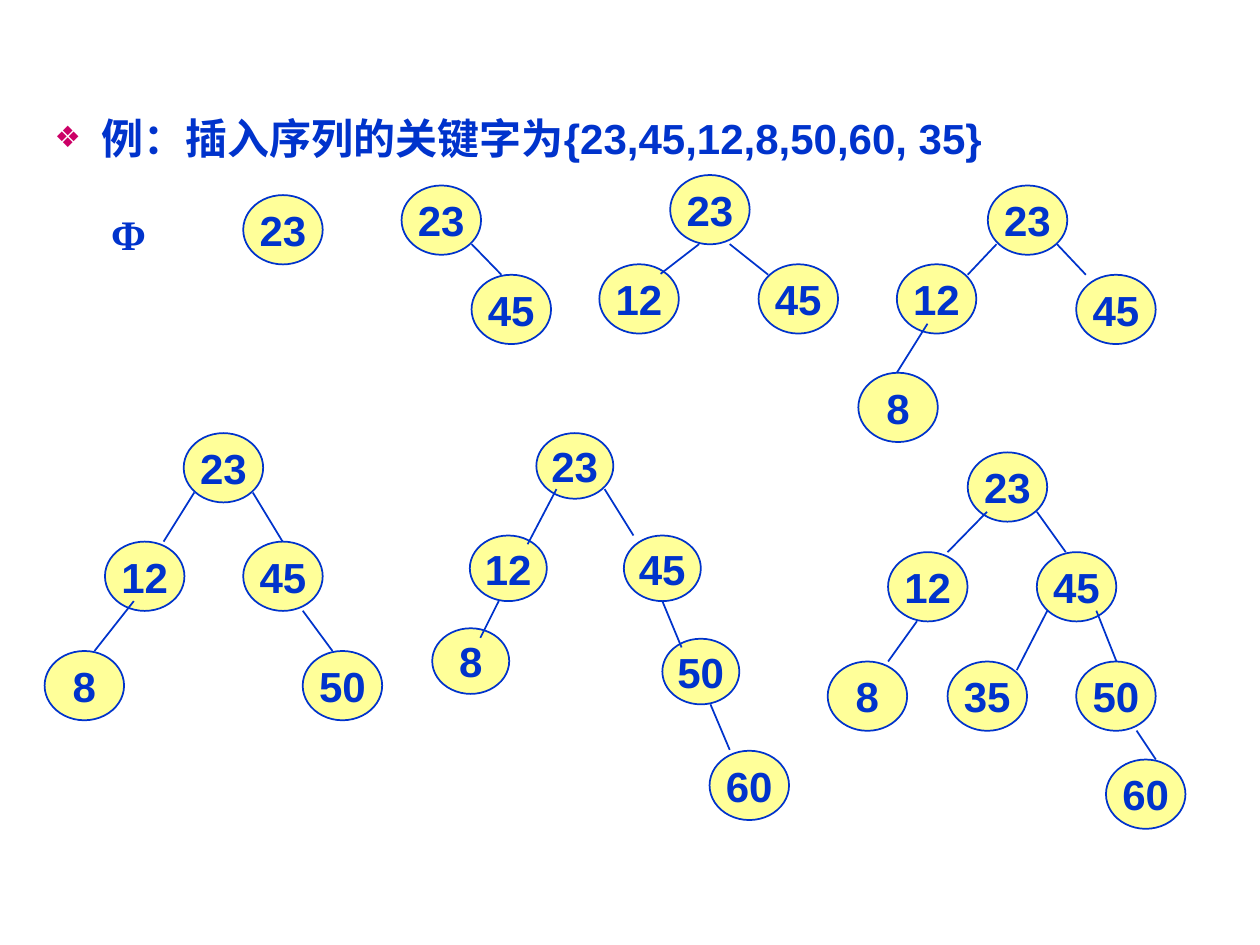
from lxml import etree
from pptx import Presentation
from pptx.dml.color import RGBColor
from pptx.enum.shapes import MSO_CONNECTOR, MSO_SHAPE
from pptx.enum.text import MSO_ANCHOR, MSO_AUTO_SIZE, PP_ALIGN
from pptx.oxml.ns import qn
from pptx.util import Pt

STRAIGHT = MSO_CONNECTOR.STRAIGHT
OVAL = MSO_SHAPE.OVAL
MIDDLE = MSO_ANCHOR.MIDDLE
CENTER = PP_ALIGN.CENTER
NO_AUTOFIT = MSO_AUTO_SIZE.NONE

COLORS = {"blue": "0033CC", "yellow": "FFFF99", "bullet": "CC0066", "background": "FFFFFF"}
HEADING = "例：插入序列的关键字为{23,45,12,8,50,60, 35}"
EMPTY_TREE = "Φ"
REGULAR = (45.4, 39.6)
COMPACT = (44, 37.5)

TREES = [
    {"nodes": [("23", 139, 111.5)], "edges": []},
    {
        "nodes": [("45", 269.5, 157), ("23", 229.5, 106)],
        "edges": [(269.5, 139.5, 286.5, 157)],
    },
    {
        "nodes": [("45", 433.5, 151), ("23", 383, 100), ("12", 342.5, 151)],
        "edges": [(399.5, 139.5, 377.5, 156.5), (417, 139.5, 439, 157)],
    },
    {
        "nodes": [("45", 615, 157), ("23", 564.5, 106), ("12", 512.5, 151), ("8", 490.5, 213)],
        "edges": [(604, 139.5, 620.5, 157), (569.5, 139.5, 553, 157), (530, 185, 512.5, 213)],
    },
    {
        "nodes": [("50", 173, 372), ("23", 105, 247.5), ("12", 60, 309.5),
                  ("45", 139, 309.5), ("8", 25.5, 372)],
        "edges": [(111, 281.5, 93.5, 309.5), (144.5, 281.5, 161.5, 309.5),
                  (76.5, 343.5, 54, 372), (173, 349, 190, 372)],
    },
    {
        "nodes": [("60", 405.5, 429), ("50", 378.5, 365), ("23", 306.5, 247.5),
                  ("12", 268.5, 306), ("45", 356.5, 306), ("8", 247, 359)],
        "edges": [(318, 279.5, 301.5, 311), (285, 343.5, 274.5, 364.5),
                  (345.5, 279.5, 362, 306), (378.5, 343.5, 389.5, 370),
                  (406, 402.5, 417, 428.5)],
        "compact": {"50", "23", "12", "45", "8"},
    },
    {
        "nodes": [("60", 632, 434), ("23", 553, 258.5), ("12", 507.5, 315.5),
                  ("45", 592.5, 315.5), ("8", 473, 378), ("50", 615, 378), ("35", 541.5, 378)],
        "edges": [(564, 292.5, 541.5, 315.5), (592.5, 292.5, 609, 315.5),
                  (524, 355, 507.5, 378), (598.5, 349, 581, 383),
                  (626.5, 349, 638, 378), (649.5, 417.5, 660.5, 434)],
    },
]


def color(name):
    return RGBColor.from_string(COLORS[name])


def add_text(paragraph, text, font_name="Arial"):
    run = paragraph.add_run()
    run.text = text
    run.font.name = font_name
    run.font.size = Pt(24)
    run.font.bold = True
    run.font.color.rgb = color("blue")


def add_centered_text(shape, text, font_name="Arial"):
    frame = shape.text_frame
    frame.word_wrap = False
    frame.vertical_anchor = MIDDLE
    paragraph = frame.paragraphs[0]
    paragraph.alignment = CENTER
    add_text(paragraph, text, font_name)


def set_line(shape):
    shape.line.color.rgb = color("blue")
    shape.line.width = Pt(1)


def add_node(shapes, text, left, top, size):
    node = shapes.add_shape(OVAL, Pt(left), Pt(top), *map(Pt, size))
    node.shadow.inherit = False
    node.fill.solid()
    node.fill.fore_color.rgb = color("yellow")
    set_line(node)
    add_centered_text(node, text)


def add_edge(shapes, ends):
    edge = shapes.add_connector(STRAIGHT, *map(Pt, ends))
    set_line(edge)
    etree.SubElement(edge._element.spPr, qn("a:effectLst"))


def add_tree(slide, tree):
    shapes = slide.shapes
    if tree["edges"]:
        shapes = shapes.add_group_shape().shapes
    for text, left, top in tree["nodes"]:
        size = COMPACT if text in tree.get("compact", ()) else REGULAR
        add_node(shapes, text, left, top, size)
    for ends in tree["edges"]:
        add_edge(shapes, ends)


def add_bullet(paragraph):
    properties = paragraph._p.get_or_add_pPr()
    properties.set("marL", str(Pt(27)))
    properties.set("indent", str(-Pt(27)))
    bullet_color = etree.SubElement(properties, qn("a:buClr"))
    etree.SubElement(bullet_color, qn("a:srgbClr"), val=COLORS["bullet"])
    etree.SubElement(properties, qn("a:buSzPct"), val="70000")
    etree.SubElement(properties, qn("a:buChar"), char="❖")


def add_heading(slide):
    title = slide.shapes.title
    title._element.getparent().remove(title._element)
    body = slide.placeholders[1]
    body.left, body.top, body.width, body.height = Pt(24), Pt(60.5), Pt(672), Pt(453.5)
    body.text_frame.auto_size = NO_AUTOFIT
    paragraph = body.text_frame.paragraphs[0]
    add_bullet(paragraph)
    paragraph.space_before = Pt(0)
    add_text(paragraph, HEADING)


def main():
    presentation = Presentation()
    presentation.slide_width, presentation.slide_height = Pt(720), Pt(540)
    slide = presentation.slides.add_slide(presentation.slide_layouts[1])
    slide.background.fill.solid()
    slide.background.fill.fore_color.rgb = color("background")
    add_heading(slide)
    empty_tree = slide.shapes.add_textbox(Pt(48), Pt(116.5), Pt(51), Pt(34))
    add_centered_text(empty_tree, EMPTY_TREE, "Times New Roman")
    for tree in TREES:
        add_tree(slide, tree)
    presentation.save("out.pptx")


if __name__ == "__main__":
    main()
